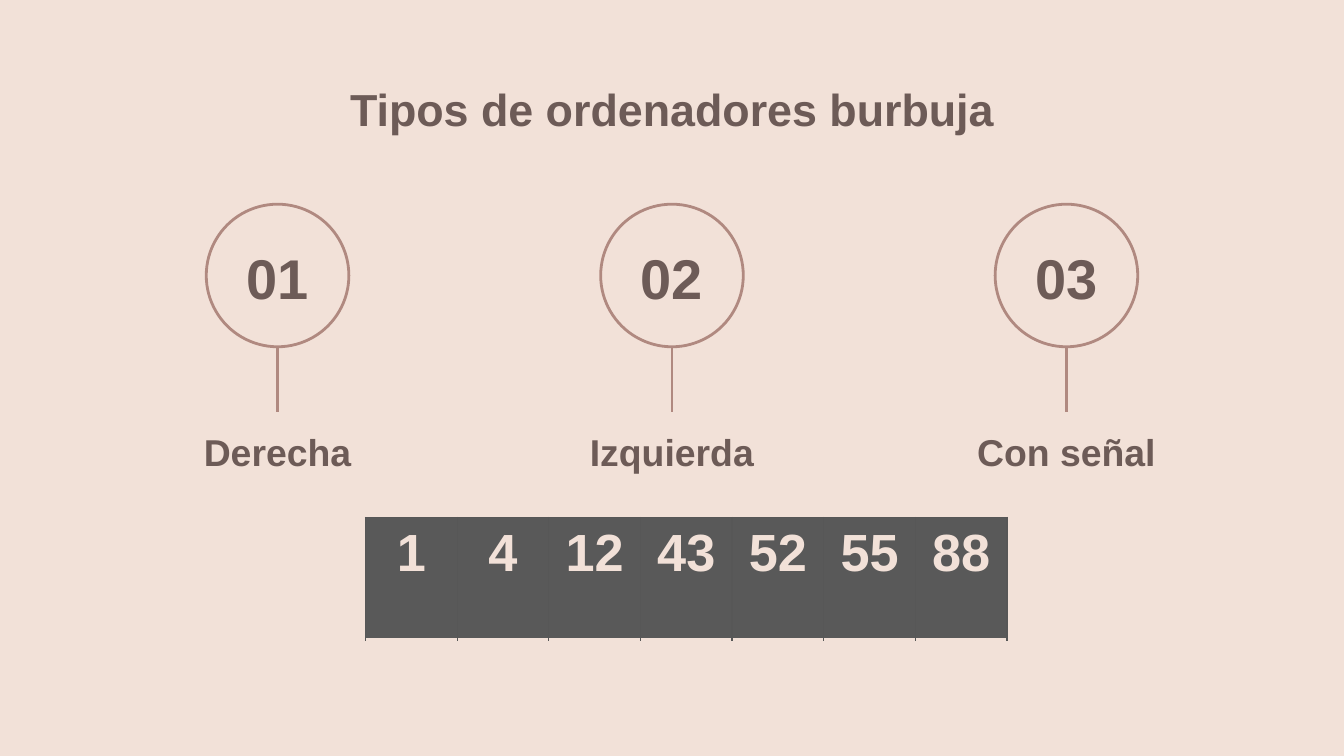
from lxml import etree
from pptx import Presentation
from pptx.dml.color import RGBColor
from pptx.enum import shapes, text
from pptx.oxml import ns
from pptx.util import Pt

CREAM = RGBColor(0xF2, 0xE1, 0xD8)
BROWN = RGBColor(0x6D, 0x5B, 0x57)
ROSE = RGBColor(0xB0, 0x89, 0x80)
CHARCOAL = RGBColor(0x59, 0x59, 0x59)
EDGE = RGBColor(0x57, 0x57, 0x57)

CENTRE = 360
STEP = 211.3
LABEL_WIDTH = 184.4
CIRCLE_SIZE = 76.4
CIRCLE_TOP = 109.4
STEM_LENGTH = 35.2
TYPES = ["Derecha", "Izquierda", "Con señal"]
NUMBERS = [1, 4, 12, 43, 52, 55, 88]


class Page:
    font = "Arial"

    def __init__(self, deck):
        self.slide = deck.slides.add_slide(deck.slide_layouts[5])
        self.slide.background.fill.solid()
        self.slide.background.fill.fore_color.rgb = CREAM

    def add_words(self, frame, words, size, color):
        para = frame.paragraphs[0]
        para.alignment = text.PP_ALIGN.CENTER
        span = para.add_run()
        span.text = words
        span.font.name = self.font
        span.font.size = Pt(size)
        span.font.bold = True
        span.font.color.rgb = color

    def fill_box(self, box, words, size):
        frame = box.text_frame
        frame.word_wrap = True
        frame.auto_size = text.MSO_AUTO_SIZE.NONE
        frame.vertical_anchor = text.MSO_ANCHOR.MIDDLE
        frame.margin_left = frame.margin_right = Pt(7.2)
        frame.margin_top = frame.margin_bottom = Pt(7.2)
        self.add_words(frame, words, size, BROWN)

    def title(self, words, left, top, width, height):
        box = self.slide.shapes.title
        box.left, box.top = Pt(left), Pt(top)
        box.width, box.height = Pt(width), Pt(height)
        self.fill_box(box, words, 24)

    def label(self, words, size, middle, top, height):
        box = self.slide.shapes.add_textbox(
            Pt(middle - LABEL_WIDTH / 2), Pt(top), Pt(LABEL_WIDTH), Pt(height))
        self.fill_box(box, words, size)

    def circle(self, middle, top, size):
        ring = self.slide.shapes.add_shape(
            shapes.MSO_SHAPE.OVAL, Pt(middle - size / 2), Pt(top), Pt(size), Pt(size))
        ring.shadow.inherit = False
        ring.fill.background()
        ring.line.color.rgb = ROSE
        ring.line.width = Pt(1.5)

    def stem(self, middle, top, length):
        line = self.slide.shapes.add_connector(
            shapes.MSO_CONNECTOR.STRAIGHT,
            Pt(middle), Pt(top), Pt(middle), Pt(top + length))
        line.line.color.rgb = ROSE
        line.line.width = Pt(1.5)
        etree.SubElement(line._element.spPr, ns.qn("a:effectLst"))

    def border(self, cell, side, color, width):
        props = cell._tc.get_or_add_tcPr()
        line = etree.SubElement(props, ns.qn(f"a:ln{side}"), w=str(Pt(width)))
        fill = etree.SubElement(line, ns.qn("a:solidFill"))
        etree.SubElement(fill, ns.qn("a:srgbClr"), val=str(color))

    def number_row(self, numbers, left, top, width, height):
        table = self.slide.shapes.add_table(
            1, len(numbers), Pt(left), Pt(top), Pt(width), Pt(height)).table
        table.first_row = table.horz_banding = False
        for cell, number in zip(table.rows[0].cells, numbers):
            for side in "LRT":
                self.border(cell, side, EDGE, 0.75)
            self.border(cell, "B", CREAM, 2)
            cell.fill.solid()
            cell.fill.fore_color.rgb = CHARCOAL
            self.add_words(cell.text_frame, str(number), 28, CREAM)


def main():
    deck = Presentation()
    deck.slide_width, deck.slide_height = Pt(720), Pt(405)
    page = Page(deck)
    page.title("Tipos de ordenadores burbuja", 56.6, 35.2, 606.8, 45.4)
    for index, kind in enumerate(TYPES):
        middle = CENTRE + (index - 1) * STEP
        page.circle(middle, CIRCLE_TOP, CIRCLE_SIZE)
        page.stem(middle, CIRCLE_TOP + CIRCLE_SIZE, STEM_LENGTH)
        page.label(f"{index + 1:02}", 30, middle, 125.3, 46.8)
        page.label(kind, 20, middle, 221, 41.8)
    page.number_row(NUMBERS, 195.8, 277.2, 343.7, 65.5)
    deck.save("out.pptx")


if __name__ == "__main__":
    main()
